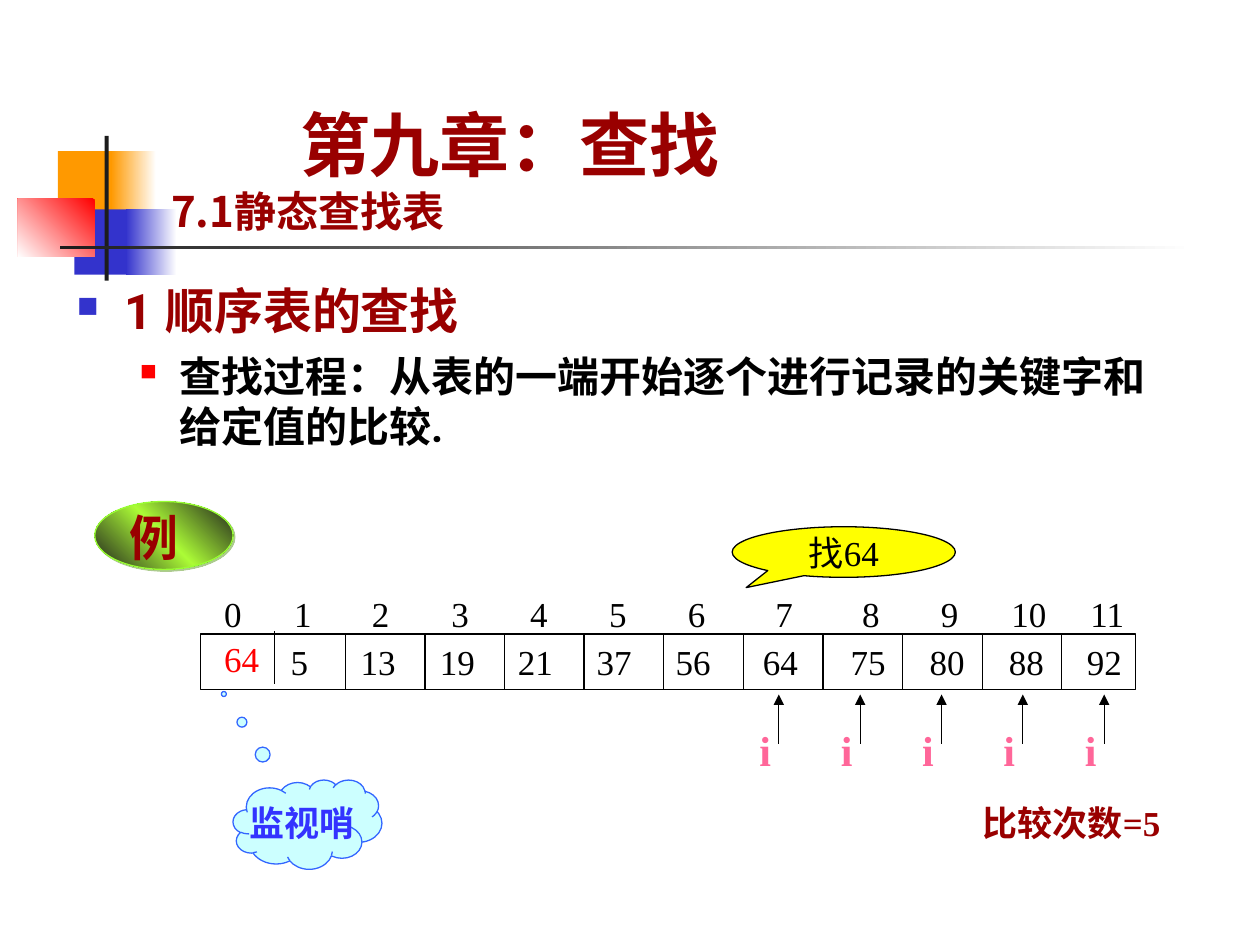
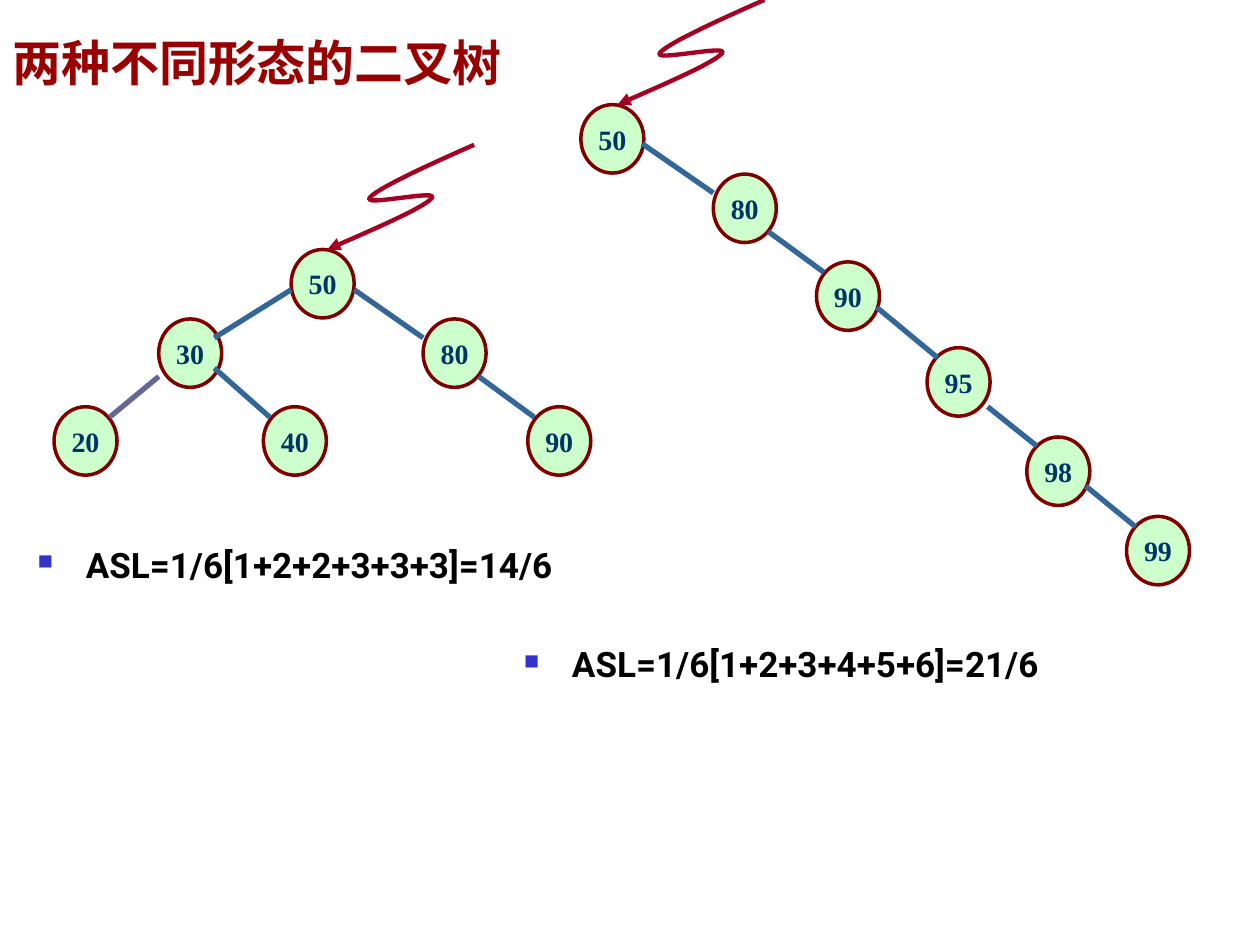
from copy import deepcopy

from lxml.etree import SubElement
from pptx import Presentation
from pptx.dml.color import RGBColor
from pptx.enum.shapes import MSO_CONNECTOR, MSO_SHAPE
from pptx.enum.text import MSO_ANCHOR, PP_ALIGN
from pptx.oxml.ns import qn
from pptx.util import Cm, Pt


class Theme:
    white, black, ink = "FFFFFF", "000000", "1C1C1C"
    title, red, blue, orange = "990000", "FF0000", "3333CC", "FF9900"
    pink, yellow, sentinel = "FF6699", "FFFF00", "3333FF"
    cloud, cloud_line = "CCFFFF", "3366FF"
    lime, lime_line, lime_shadow = "ACFC36", "99FF33", "5B981E"
    node, node_line, node_text = "CCFFCC", "800000", "003366"
    edge, edge_alt, pointer = "336699", "666699", "A50021"
    cjk, sans, serif = "Noto Sans CJK SC", "Roboto", "Times New Roman"
    chapter, heading, body, label, key = 40, 28, 24, 20, 16
    thin, node_pt, pointer_pt, edge_pt = 0.75, 2, 2.5, 3


def add(s, kind, box, fill=None, line=None, pt=Theme.thin, angle=0):
    """Add a preset shape, or a text box if kind is None; a list fill is a gradient."""
    box = [Cm(v) for v in box]
    if kind is None:
        return s.shapes.add_textbox(*box)
    sp = s.shapes.add_shape(kind, *box)
    sp.shadow.inherit = False
    if isinstance(fill, list):
        sp.fill.gradient()
        sp.fill.gradient_angle = angle
        stops = sp._element.spPr.find(".//" + qn("a:gsLst"))
        for _ in fill[2:]:
            stops.append(deepcopy(stops[0]))
        for i, stop in enumerate(sp.fill.gradient_stops):
            stop.position = i / (len(fill) - 1)
            stop.color.rgb = RGBColor.from_string(fill[i])
    elif fill:
        sp.fill.solid()
        sp.fill.fore_color.rgb = RGBColor.from_string(fill)
    else:
        sp.fill.background()
    if line:
        sp.line.color.rgb = RGBColor.from_string(line)
        sp.line.width = Pt(pt)
    else:
        sp.line.fill.background()
    return sp


def write(sp, text, size, color, font=Theme.serif, bold=False, align=PP_ALIGN.LEFT,
          anchor=MSO_ANCHOR.TOP, wrap=False, left=0, bullet=None, tabs=()):
    """Add one paragraph; bullet is (colour, percent size, hanging indent)."""
    tf = sp.text_frame
    tf.word_wrap = wrap
    tf.vertical_anchor = anchor
    p = tf.add_paragraph() if tf.paragraphs[0].runs else tf.paragraphs[0]
    p.alignment = align
    pPr = p._p.get_or_add_pPr()
    pPr.set("marL", str(Cm(left)))
    if bullet:
        mark, percent, hang = bullet
        pPr.set("indent", str(-Cm(hang)))
        SubElement(SubElement(pPr, qn("a:buClr")), qn("a:srgbClr"), val=mark)
        SubElement(pPr, qn("a:buSzPct"), val=str(percent * 1000))
        SubElement(pPr, qn("a:buChar"), char="■")
    if tabs:
        tab_list = SubElement(pPr, qn("a:tabLst"))
        for tab in tabs:
            SubElement(tab_list, qn("a:tab"), pos=str(Cm(tab)), algn="l")
    r = p.add_run()
    r.text = text
    r.font.size = Pt(size)
    r.font.bold = bold
    r.font.color.rgb = RGBColor.from_string(color)
    r.font.name = font
    SubElement(r._r.get_or_add_rPr(), qn("a:ea"), typeface=Theme.cjk)
    return p


prs = Presentation()
prs.slide_width, prs.slide_height = Cm(25.4), Cm(19.05)
s1, s2 = [prs.slides.add_slide(prs.slide_layouts[6]) for _ in range(2)]
lines = []  # slide, x1, y1, x2, y2, colour, width, arrow
centred = dict(align=PP_ALIGN.CENTER, anchor=MSO_ANCHOR.MIDDLE)
main_bullet = dict(left=0.97, bullet=(Theme.blue, 60, 0.97))

# Slide 1: corner blocks and rules
for box, fill, angle in [
    ((1.17, 3.05, 1.22, 1.32), Theme.orange, 0),
    ((2.24, 3.05, 0.91, 1.32), [Theme.white, Theme.orange], 180),
    ((1.5, 4.22, 1.17, 1.32), Theme.blue, 0),
    ((2.54, 4.22, 1.02, 1.32), [Theme.white, Theme.blue], 180),
    ((0.36, 4.01, 1.55, 1.17), [Theme.red, Theme.white], 225),
    ((2.11, 2.74, 0.08, 2.92), Theme.ink, 0),
    ((1.22, 4.95, 22.86, 0.08), [Theme.white, Theme.ink], 180),
]:
    add(s1, MSO_SHAPE.RECTANGLE, box, fill, angle=angle)

# Slide 1: title and body
sp = add(s1, None, (3.2, 1.7, 18.49, 3.18))
for text, size, left in [("第九章：查找", Theme.chapter, 2.6), ("7.1静态查找表", Theme.body, 0)]:
    write(sp, text, size, Theme.title, Theme.cjk, True,
          anchor=MSO_ANCHOR.BOTTOM, wrap=True, left=left)
sp = add(s1, None, (1.3, 5.54, 22.81, 11.43))
write(sp, "1 顺序表的查找", Theme.heading, Theme.title, Theme.sans, True,
      wrap=True, **main_bullet)
p = write(sp, "查找过程：从表的一端开始逐个进行记录的关键字和给定值的比较.", Theme.body,
          Theme.black, Theme.sans, True, wrap=True, left=2.06, bullet=(Theme.red, 55, 0.79))
p.space_before = Pt(6)

# Slide 1: array indexes, values and cell dividers
sp = add(s1, None, (4.27, 11.81, 18.72, 1.12))
sp.text_frame.margin_right = 0
write(sp, "\t".join(str(i) for i in range(12)), Theme.label, Theme.black, wrap=True,
      tabs=(1.41, 2.98, 4.58, 6.17, 7.76, 9.35, 11.11, 12.86, 14.45, 15.87, 17.46))
sp = add(s1, MSO_SHAPE.RECTANGLE, (4.04, 12.78, 18.85, 1.12), None, Theme.black)
sp.text_frame.margin_right = 0
values = [5, 13, 19, 21, 37, 56, 64, 75, 80, 88, 92]
write(sp, "".join(f"\t{v}" for v in values), Theme.label, Theme.black,
      anchor=MSO_ANCHOR.MIDDLE, wrap=True,
      tabs=(1.57, 2.98, 4.58, 6.15, 7.74, 9.33, 11.09, 12.86, 14.45, 16.05, 17.62))
lines.append((s1, 5.54, 12.73, 5.54, 13.79, Theme.black, Theme.thin, False))
for i in range(10):
    x = 6.96 + i * 1.605
    lines.append((s1, x, 12.78, x, 13.9, Theme.black, Theme.thin, False))
write(add(s1, None, (4.27, 12.73, 1.22, 1.12)), "64", Theme.label, Theme.red)

# Slide 1: callouts
for kind, box, adj, fill, line, text, color, bold in [
    (MSO_SHAPE.OVAL_CALLOUT, (14.76, 10.62, 4.5, 1.02), (-0.437, 0.702),
     Theme.yellow, Theme.black, "找64", Theme.black, False),
    (MSO_SHAPE.CLOUD_CALLOUT, (4.7, 15.72, 3, 1.8), (-0.562, -1.461),
     Theme.cloud, Theme.cloud_line, "监视哨", Theme.sentinel, True),
]:
    sp = add(s1, kind, box, fill, line)
    sp.adjustments[0], sp.adjustments[1] = adj
    write(sp, text, Theme.label, color, bold=bold, **centred)

# Slide 1: positions of i and the count
for i in range(5):
    x = 15.7 + i * 1.64
    lines.append((s1, x, 14.99, x, 14, Theme.black, Theme.thin, True))
    write(add(s1, None, (x - 0.64, 14.48, 0.74, 1.27)), "i", Theme.body, Theme.pink, bold=True)
write(add(s1, None, (19.56, 16.03, 4.27, 1.12)), "比较次数=5", Theme.label,
      Theme.title, bold=True)

# Slide 1: example badge
sp = add(s1, MSO_SHAPE.OVAL, (1.91, 10.11, 2.79, 1.37),
         [Theme.ink, Theme.lime, Theme.ink], Theme.lime_line, angle=225)
shadow = SubElement(sp._element.spPr.find(qn("a:effectLst")), qn("a:outerShdw"),
                    dist=str(Pt(1.4)), dir="2700000")
shade = SubElement(shadow, qn("a:srgbClr"), val=Theme.lime_shadow)
SubElement(shade, qn("a:alpha"), val="50000")
write(add(s1, None, (2.36, 10.11, 1.5, 1.45)), "例", Theme.heading, Theme.title,
      bold=True, wrap=True)

# Slide 2: title and average search lengths
write(add(s2, None, (0, 0, 21.64, 1.96)), "两种不同形态的二叉树", Theme.heading, Theme.title,
      Theme.sans, True, anchor=MSO_ANCHOR.BOTTOM, wrap=True)
for x, y, text in [(0.51, 10.92, "ASL=1/6[1+2+2+3+3+3]=14/6"),
                   (10.31, 12.93, "ASL=1/6[1+2+3+4+5+6]=21/6")]:
    p = write(add(s2, None, (x, y, 15.8, 1.6)), text, Theme.label, Theme.black,
              Theme.sans, True, wrap=True, **main_bullet)
    p.line_spacing = 0.9

# Slide 2: nodes of the balanced tree, then of the one-sided tree
for key, x, y in [
    (50, 5.87, 5.03), (30, 3.2, 6.43), (80, 8.53, 6.43),
    (20, 1.09, 8.2), (90, 10.64, 8.2), (40, 5.31, 8.2),
    (50, 11.71, 2.11), (80, 14.38, 3.51), (90, 16.46, 5.28),
    (95, 18.69, 7.01), (98, 20.7, 8.81), (99, 22.71, 10.41),
]:
    sp = add(s2, MSO_SHAPE.OVAL, (x, y, 1.27, 1.38), Theme.node, Theme.node_line, Theme.node_pt)
    write(sp, str(key), Theme.key, Theme.node_text, bold=True, **centred)

# Slide 2: tree edges
for edge in [
    (5.87, 5.84, 4.32, 6.81), (7.14, 5.84, 8.53, 6.81),
    (4.32, 7.42, 5.44, 8.41), (9.65, 7.59, 10.77, 8.41),
    (12.95, 2.9, 14.38, 3.89), (15.49, 4.67, 16.61, 5.49), (17.68, 6.2, 18.9, 7.21),
    (19.91, 8.2, 20.9, 8.99), (21.89, 9.8, 22.89, 10.62),
]:
    lines.append((s2, *edge, Theme.edge, Theme.edge_pt, False))
lines.append((s2, 3.2, 7.59, 2.21, 8.41, Theme.edge_alt, Theme.edge_pt, False))

# Slide 2: curved pointers to the roots, as Bezier control points from the tip
curve = [(2.96, -2.11), (1.98, -1.68), (0.99, -1.22), (0.85, -1.04), (0.7, -0.86),
         (2.26, -1.22), (2.11, -1.04), (1.98, -0.86), (0.99, -0.43), (0, 0)]
steps = 12
for tip_x, tip_y in [(6.6, 5.03), (12.45, 2.11)]:
    points = []
    for k in range(0, 9, 3):
        for n in range(steps + 1):
            t = n / steps
            weights = ((1 - t) ** 3, 3 * t * (1 - t) ** 2, 3 * t * t * (1 - t), t ** 3)
            dx, dy = [sum(w * c[axis] for w, c in zip(weights, curve[k:k + 4]))
                      for axis in (0, 1)]
            points.append((Cm(tip_x + dx), Cm(tip_y + dy)))
    path = s2.shapes.build_freeform(*points[0])
    path.add_line_segments(points[1:], close=False)
    sp = path.convert_to_shape()
    sp.shadow.inherit = False
    sp.fill.background()
    sp.line.color.rgb = RGBColor.from_string(Theme.pointer)
    sp.line.width = Pt(Theme.pointer_pt)
    SubElement(sp.line._get_or_add_ln(), qn("a:tailEnd"), type="triangle")

# Straight lines of both slides
for s, x1, y1, x2, y2, color, width, arrow in lines:
    cn = s.shapes.add_connector(MSO_CONNECTOR.STRAIGHT, Cm(x1), Cm(y1), Cm(x2), Cm(y2))
    cn.line.color.rgb = RGBColor.from_string(color)
    cn.line.width = Pt(width)
    if arrow:
        SubElement(cn.line._get_or_add_ln(), qn("a:tailEnd"), type="triangle")
    SubElement(cn._element.spPr, qn("a:effectLst"))

prs.save("out.pptx")
